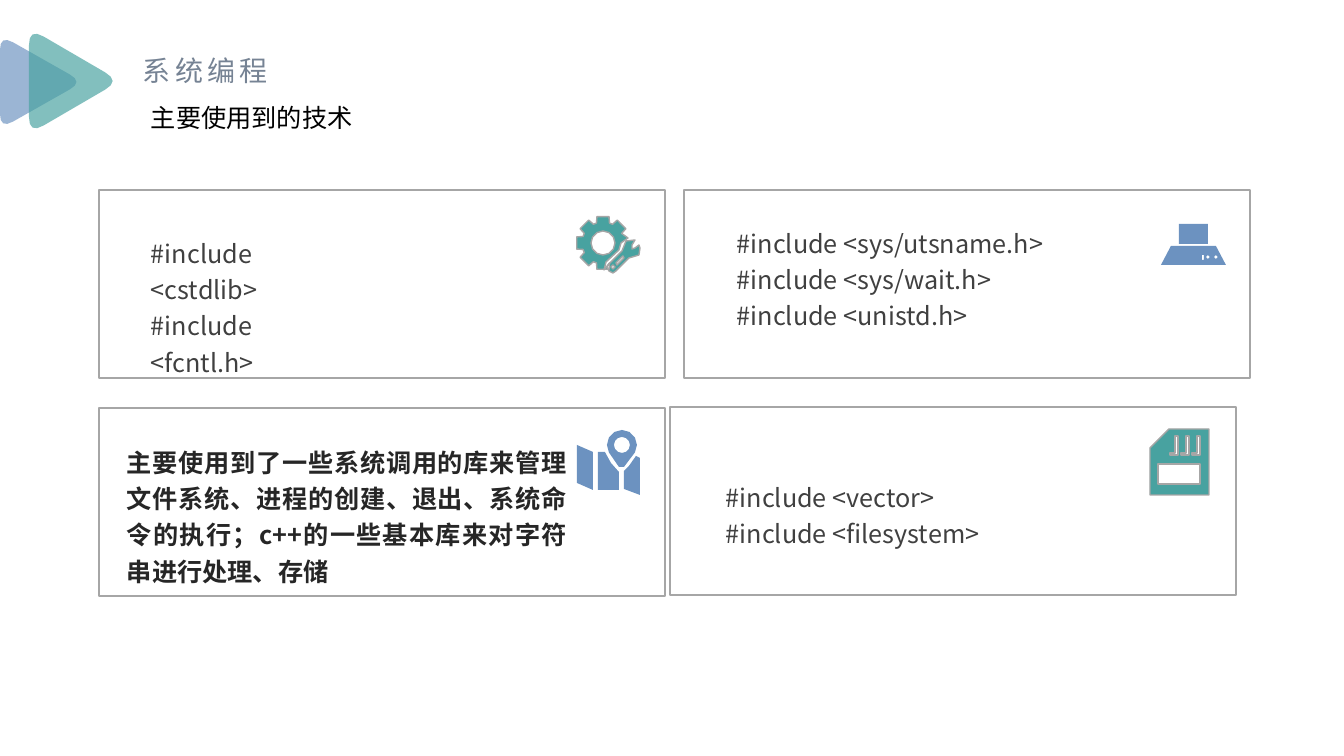
from math import cos, dist, radians, sin

from lxml.etree import SubElement
from pptx import Presentation
from pptx.dml.color import RGBColor
from pptx.enum.shapes import MSO_SHAPE
from pptx.enum.text import MSO_AUTO_SIZE, PP_ALIGN
from pptx.oxml.ns import qn
from pptx.util import Pt

SCALE = 914400 / 100.8
FACE = "Noto Sans CJK SC"
TEAL, BLUE, GREY = "48A2A0", "6C92C0", "A6A6A6"
CODE = {"size": Pt(18), "color": "404040"}
BODY = {"size": Pt(18), "color": "262626", "bold": True}
TITLE = {"size": Pt(20), "color": "768394"}
SUB = {"size": Pt(18), "color": "000000"}


def px(num):
    return round(num * SCALE)


def rgb(code):
    return RGBColor.from_string(code)


def paint(shape, fill=None, line=None, alpha=None):
    shape.shadow.inherit = False
    if fill:
        shape.fill.solid()
        shape.fill.fore_color.rgb = rgb(fill)
    else:
        shape.fill.background()
    if line:
        shape.line.color.rgb = rgb(line)
        shape.line.width = Pt(1)
    else:
        shape.line.fill.background()
    if alpha:
        color = shape.fill._xPr.find(qn("a:solidFill"))[0]
        SubElement(color, qn("a:alpha"), val=str(alpha * 1000))


def card(slide, left, top):
    box = slide.shapes.add_shape(
        MSO_SHAPE.RECTANGLE, px(left), px(top), px(566), px(188))
    paint(box, line=GREY)


def text(slide, spot, lines, style, wrap=True, align=PP_ALIGN.JUSTIFY,
         space=1.2, track=0):
    frame = slide.shapes.add_textbox(*map(px, spot)).text_frame
    frame.word_wrap = wrap
    frame.auto_size = MSO_AUTO_SIZE.SHAPE_TO_FIT_TEXT
    for num, line in enumerate(lines):
        para = frame.add_paragraph() if num else frame.paragraphs[0]
        para.alignment, para.line_spacing = align, space
        run = para.add_run()
        run.text = line
        run.font.name = FACE
        for key, val in style.items():
            if key == "color":
                run.font.color.rgb = rgb(val)
            else:
                setattr(run.font, key, val)
        props = run._r.get_or_add_rPr()
        SubElement(props, qn("a:ea"), typeface=FACE)
        if track:
            props.set("spc", str(track * 100))


def arc(x, y, size, start=0, stop=360, step=30):
    return [(x + size * cos(radians(a)), y + size * sin(radians(a)))
            for a in range(start, stop, step)]


def dot(x, y):
    return arc(x, y, 2, step=90)


def block(left, top, right, base):
    return [(left, top), (right, top), (right, base), (left, base)]


def soften(points, trim):
    """Replace each corner with a short quadratic curve."""
    curve = []
    for num, (x, y) in enumerate(points):
        ends = []
        for u, v in (points[num - 1], points[(num + 1) % len(points)]):
            part = trim / dist((x, y), (u, v))
            ends.append((x + (u - x) * part, y + (v - y) * part))
        (ax, ay), (bx, by) = ends
        for t in (0, 0.25, 0.5, 0.75, 1):
            a, b, c = (1 - t) ** 2, 2 * t * (1 - t), t * t
            curve.append((a * ax + b * x + c * bx, a * ay + b * y + c * by))
    return curve


def icon(slide, paths, fill, line=None, alpha=None):
    """Draw closed outlines as one shape; inner ones become holes."""
    maker = None
    for path in paths:
        first, *rest = [(px(x), px(y)) for x, y in path]
        if maker:
            maker.move_to(*first)
        else:
            maker = slide.shapes.build_freeform(*first)
        maker.add_line_segments(rest, close=True)
    paint(maker.convert_to_shape(), fill, line, alpha)


def gear():
    wheel = []
    for turn in range(90, 360, 45):
        for size, shift in ((21, -18), (27, -13), (27, 13), (21, 18)):
            wheel += arc(603, 243, size, turn + shift, turn + shift + 1)
    wheel += [(628, 238), (621, 243), (619, 250), (606, 262), (604, 270)]
    wrench = [(626, 241), (635, 240), (632, 245), (632, 249), (635, 248),
              (639, 245), (640, 248), (639, 255), (629, 258), (616, 271),
              (613, 273), (609, 271), (607, 267), (609, 264), (622, 251)]
    slot = [(623, 256), (616, 263), (617, 265), (624, 258)]
    return [wheel, arc(603, 243, 12), wrench, slot, dot(613, 267)]


def chart():
    left = [(577, 445), (593, 452), (593, 490), (577, 483)]
    mid = [(598, 452), (605, 452), (611, 463), (619, 472),
           (619, 490), (598, 490)]
    right = [(636, 456), (640, 458), (640, 495), (624, 489),
             (624, 471), (629, 466)]
    pin = arc(622, 445, 15, 150, 400) + [(624, 467), (619, 467)]
    return [left, mid, right, pin, arc(622, 445, 8)]


def device():
    base = [(1171, 246), (1216, 246), (1226, 265), (1161, 265)]
    return [base, block(1179, 224, 1208, 244), block(1202, 255, 1204, 260),
            dot(1208, 257), dot(1216, 257)]


def memory():
    body = [(1169, 429), (1209, 429), (1209, 495), (1150, 495), (1150, 448)]
    pins = [[(x, 453), (x + 5, 453), (x + 5, 436), (x + 8, 436),
             (x + 8, 455), (x, 455)] for x in range(1170, 1193, 11)]
    return [body, *pins, block(1158, 464, 1200, 484)]


def main():
    deck = Presentation()
    deck.slide_width, deck.slide_height = px(1344), px(756)
    slide = deck.slides.add_slide(deck.slide_layouts[6])

    text(slide, (133, 49, 149, 44), ["系统编程"], TITLE, wrap=False,
         align=PP_ALIGN.LEFT, space=1, track=3)
    for points, trim, color in (
            ([(0, 35), (83, 82), (0, 129)], 15, BLUE),
            ([(29, 28), (120, 81), (29, 134)], 17, TEAL)):
        icon(slide, [soften(points, trim)], color, alpha=68)

    note = ("主要使用到了一些系统调用的库来管理文件系统、进程的创建、退出、"
            "系统命令的执行；c++的一些基本库来对字符串进行处理、存储")
    cards = [
        ((99, 190), (gear(), TEAL, GREY), (141, 227, 226, 84),
         ["#include <cstdlib>", "#include <fcntl.h>"], CODE),
        ((99, 408), (chart(), BLUE), (117, 436, 460, 156), [note], BODY),
        ((684, 190), (device(), BLUE), (727, 217, 434, 120),
         ["#include <sys/utsname.h>", "#include <sys/wait.h>",
          "#include <unistd.h>"], CODE),
        ((670, 407), (memory(), TEAL, GREY), (716, 471, 434, 84),
         ["#include <vector>", "#include <filesystem>"], CODE),
    ]
    for corner, art, spot, lines, style in cards:
        card(slide, *corner)
        icon(slide, *art)
        text(slide, spot, lines, style)

    text(slide, (141, 97, 289, 40), ["主要使用到的技术"], SUB,
         align=PP_ALIGN.LEFT, space=1)
    deck.save("out.pptx")


if __name__ == "__main__":
    main()
